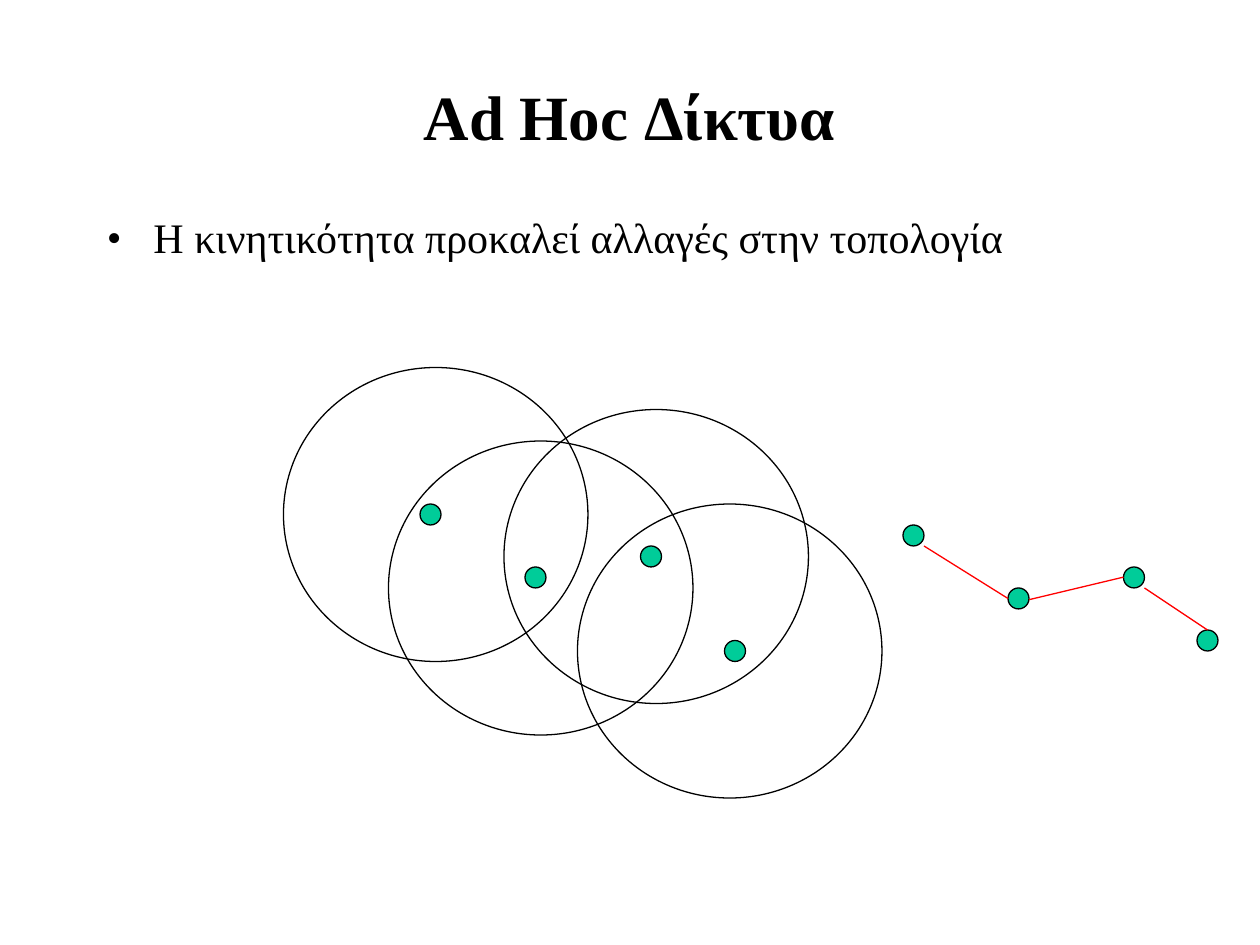
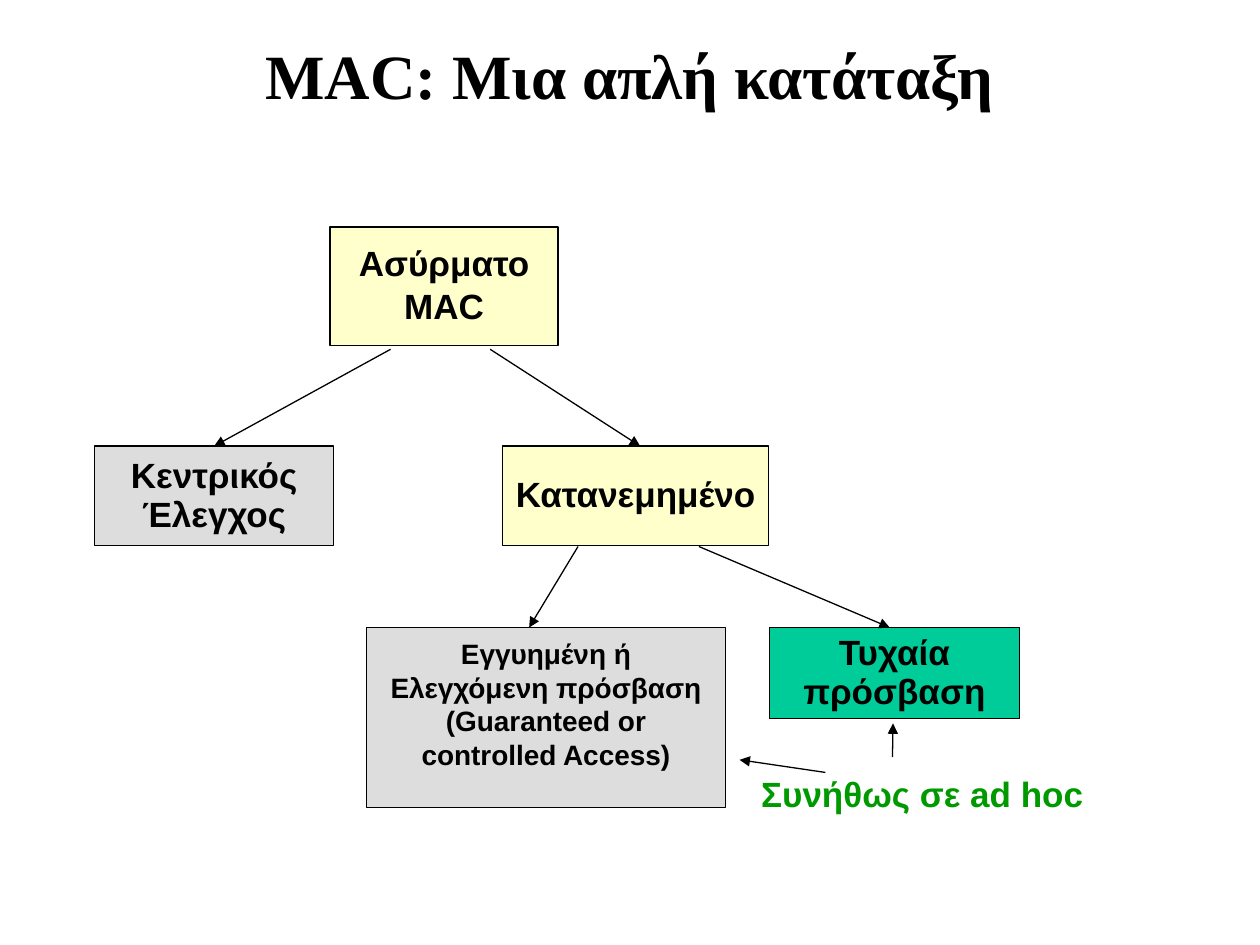
from typing import NamedTuple

from lxml import etree
from pptx import Presentation
from pptx.dml.color import RGBColor
from pptx.enum.shapes import MSO_CONNECTOR, MSO_SHAPE
from pptx.enum.text import MSO_ANCHOR, PP_ALIGN
from pptx.oxml.ns import qn
from pptx.util import Pt

OVAL = MSO_SHAPE.OVAL
ROUND = MSO_SHAPE.ROUNDED_RECTANGLE
LINE = MSO_CONNECTOR.STRAIGHT
TOP, MIDDLE = MSO_ANCHOR.TOP, MSO_ANCHOR.MIDDLE
LEFT, CENTER = PP_ALIGN.LEFT, PP_ALIGN.CENTER

BLACK = RGBColor(0x00, 0x00, 0x00)
WHITE = RGBColor(0xFF, 0xFF, 0xFF)
RED = RGBColor(0xFF, 0x00, 0x00)
TEAL = RGBColor(0x00, 0xCC, 0x99)
GREEN = RGBColor(0x00, 0x99, 0x00)
CREAM = RGBColor(0xFF, 0xFF, 0xCC)
GRAY = RGBColor(0xDD, 0xDD, 0xDD)

SERIF, SANS = "Times New Roman", "Arial"
STROKE = Pt(0.75)
TIGHT = 0.93
DOT = 12


class Spot(NamedTuple):
    left: float
    top: float


class Link(NamedTuple):
    start: Spot
    end: Spot


class Node(NamedTuple):
    text: str
    left: float
    top: float
    width: float
    height: float
    fill: RGBColor
    size: float = 20
    gaps: tuple[float, ...] = (TIGHT,)
    anchor: MSO_ANCHOR = MIDDLE


RANGES = [Spot(162, 210), Spot(222, 252), Spot(288, 234), Spot(330, 288)]
HOSTS = [Spot(240, 288), Spot(300, 324), Spot(366, 312), Spot(414, 366)]
GRAPH = [Spot(516, 300), Spot(576, 336), Spot(642, 324), Spot(684, 360)]
EDGES = [
    Link(Spot(528, 312), Spot(576, 342)),
    Link(Spot(588, 342.7), Spot(642, 329.8)),
    Link(Spot(654, 336), Spot(690, 360)),
]

NODES = [
    Node("Ασύρματο\nMAC", 188.6, 129.7, 130.3, 67.7, CREAM, gaps=(TIGHT, 1.0)),
    Node("Κεντρικός Έλεγχος", 54, 254.9, 136.8, 56.9, GRAY),
    Node("Κατανεμημένο", 287.3, 254.9, 152, 56.9, CREAM),
    Node("Εγγυημένη ή Ελεγχόμενη πρόσβαση (Guaranteed or controlled Access)",
         209.3, 358.4, 205.4, 103, GRAY, 16, (1.0,), TOP),
    Node("Τυχαία πρόσβαση", 439.8, 358.7, 142.6, 51.8, TEAL),
]
ARROWS = [
    Link(Spot(223.2, 199.6), Spot(122.4, 254.9)),
    Link(Spot(280.1, 199.6), Spot(365.8, 254.9)),
    Link(Spot(330.3, 312.3), Spot(302.4, 358.6)),
    Link(Spot(399.4, 312.3), Spot(508.4, 358.6)),
    Link(Spot(510, 432.6), Spot(510.3, 413.4)),
    Link(Spot(471.6, 441.4), Spot(422.6, 434.2)),
]


def add_dot_mark(para, hang: float) -> None:
    props = para._p.get_or_add_pPr()
    props.set("marL", str(Pt(hang)))
    props.set("indent", str(-Pt(hang)))
    tint = etree.SubElement(props, qn("a:buClr"))
    etree.SubElement(tint, qn("a:srgbClr")).set("val", str(BLACK))
    etree.SubElement(props, qn("a:buFont")).set("typeface", SERIF)
    etree.SubElement(props, qn("a:buChar")).set("char", "•")


def write(shape, text: str, *, size: float, font: str = SANS,
          color: RGBColor = BLACK, bold: bool = True,
          align: PP_ALIGN = CENTER, anchor: MSO_ANCHOR = MIDDLE,
          gaps: tuple[float, ...] = (TIGHT,), hang: float = 0,
          wrap: bool = True, inset: float = 3.6) -> None:
    frame = shape.text_frame
    frame.word_wrap = wrap
    frame.vertical_anchor = anchor
    frame.margin_left = frame.margin_right = Pt(7.2)
    frame.margin_top, frame.margin_bottom = Pt(inset), Pt(3.6)
    frame.text = text
    for para, gap in zip(frame.paragraphs, gaps):
        if hang:
            add_dot_mark(para, hang)
        para.alignment = align
        para.line_spacing = gap
        for run in para.runs:
            run.font.name = font
            run.font.size = Pt(size)
            run.font.bold = bold
            run.font.color.rgb = color


def add_text(slide, text: str, left: float, top: float, width: float,
             height: float, **style) -> None:
    box = slide.shapes.add_textbox(Pt(left), Pt(top), Pt(width), Pt(height))
    write(box, text, **style)


def add_title(slide, text: str, top: float) -> None:
    add_text(slide, text, 54, top, 611.3, 47.5, size=36, font=SERIF)


def add_form(slide, kind: MSO_SHAPE, left: float, top: float, width: float,
             height: float, fill: RGBColor | None = None):
    shape = slide.shapes.add_shape(kind, Pt(left), Pt(top), Pt(width), Pt(height))
    shape.shadow.inherit = False
    if fill is None:
        shape.fill.background()
    else:
        shape.fill.solid()
        shape.fill.fore_color.rgb = fill
    shape.line.color.rgb = BLACK
    shape.line.width = STROKE
    return shape


def add_link(slide, link: Link, color: RGBColor, arrow: bool = False) -> None:
    ends = [Pt(value) for spot in link for value in spot]
    wire = slide.shapes.add_connector(LINE, *ends)
    wire.line.color.rgb = color
    wire.line.width = STROKE
    if arrow:
        tail = etree.SubElement(wire.line._get_or_add_ln(), qn("a:tailEnd"))
        tail.set("type", "triangle")
    etree.SubElement(wire._element.spPr, qn("a:effectLst"))


def add_node(slide, node: Node) -> None:
    shape = add_form(slide, ROUND, node.left, node.top, node.width,
                     node.height, node.fill)
    shape.adjustments[0] = 0
    write(shape, node.text, size=node.size, gaps=node.gaps,
          anchor=node.anchor, inset=5.4 if node.anchor == TOP else 3.6)


def draw_ad_hoc(slide) -> None:
    for index, spot in enumerate(RANGES):
        add_form(slide, OVAL, *spot, 174, 168, None if index else WHITE)
    for spot in HOSTS + GRAPH:
        add_form(slide, OVAL, *spot, DOT, DOT, TEAL)
    for edge in EDGES:
        add_link(slide, edge, RED)
    add_title(slide, "Ad Hoc Δίκτυα", 44.6)
    add_text(slide, "Η κινητικότητα προκαλεί αλλαγές στην τοπολογία",
             54, 120.2, 611.3, 33.8, size=24, font=SERIF, bold=False,
             align=LEFT, anchor=TOP, hang=26.6)


def draw_mac(slide) -> None:
    add_title(slide, "MAC: Μια απλή κατάταξη", 20.9)
    for node in NODES:
        add_node(slide, node)
    for arrow in ARROWS:
        add_link(slide, arrow, BLACK, arrow=True)
    add_text(slide, "Συνήθως σε ad hoc", 427.7, 439.9, 198.7, 29.5,
             size=20, color=GREEN, anchor=TOP, wrap=False)


def main() -> None:
    deck = Presentation()
    deck.slide_width, deck.slide_height = Pt(720), Pt(540)
    for draw in (draw_ad_hoc, draw_mac):
        draw(deck.slides.add_slide(deck.slide_layouts[6]))
    deck.save("out.pptx")


if __name__ == "__main__":
    main()
